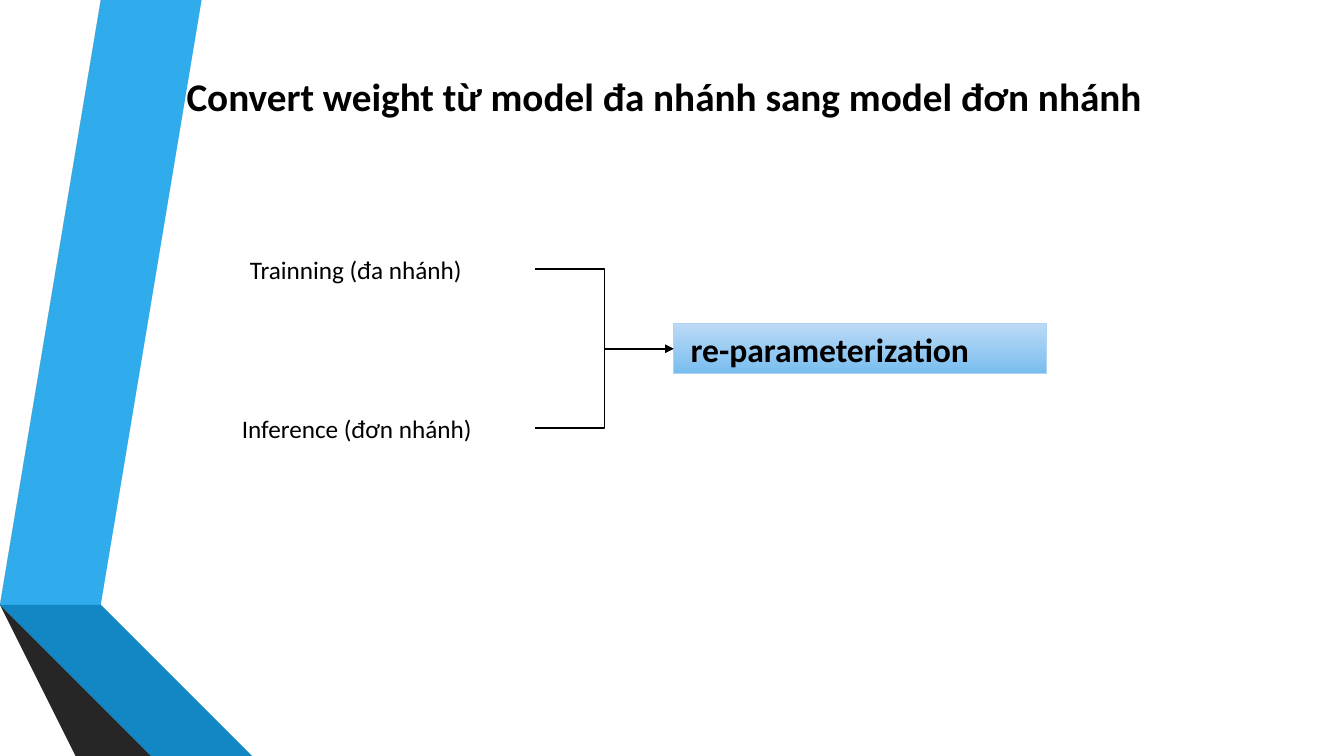
import dataclasses

import pptx
import pptx.dml.color
import pptx.enum.dml
import pptx.enum.shapes
import pptx.enum.text
import pptx.oxml
import pptx.oxml.ns
import pptx.util

Inches = pptx.util.Inches
Pt = pptx.util.Pt
RGB = pptx.dml.color.RGBColor.from_string


@dataclasses.dataclass(frozen=True)
class Theme:
    font: str = "Calibri"
    ink: str = "000000"
    blue: str = "30ACEC"
    blue_fold: str = "1287C3"
    blue_shade: str = "0C5A82"
    gray: str = "595959"
    gray_fold: str = "404040"
    gray_shade: str = "262626"
    result_top: str = "BCDAF6"
    result_bottom: str = "78BDEF"
    result_edge: str = "AED2F4"
    title_size: float = 28
    result_size: float = 24
    label_size: float = 18
    arrow_width: float = 1.25
    edge_width: float = 0.75


@dataclasses.dataclass(frozen=True)
class Box:
    left: float
    top: float
    width: float
    height: float

    def inner(self, dx, dy, width, height):
        return Box(self.left + dx, self.top + dy, width, height)

    def emu(self):
        return [Inches(v) for v in (self.left, self.top, self.width, self.height)]


THEME = Theme()


def write(frame, words, size, bold, anchor):
    frame.word_wrap = True
    frame.vertical_anchor = anchor
    frame.auto_size = pptx.enum.text.MSO_AUTO_SIZE.SHAPE_TO_FIT_TEXT
    paragraph = frame.paragraphs[0]
    paragraph.alignment = pptx.enum.text.PP_ALIGN.LEFT
    run = paragraph.add_run()
    run.text = words
    run.font.name = THEME.font
    run.font.size = Pt(size)
    run.font.bold = bold
    run.font.color.rgb = RGB(THEME.ink)


def draw_ribbons(slide, box):
    foot = box.height
    ribbons = [
        (THEME.blue, [(0.5, 5.78), (0.77, 5.83), (1.73, 0), (1.45, 0)]),
        (THEME.gray, [(1.39, 0), (1.11, 0), (0.16, 5.73), (0.44, 5.77)]),
        (THEME.gray_shade, [(0.16, 5.73), (1.45, foot), (1.51, foot)]),
        (THEME.blue_shade, [(0.5, 5.79), (2.08, foot), (2.14, foot)]),
        (THEME.blue_fold, [(0.5, 5.79), (2.14, foot), (2.83, foot), (0.77, 5.83), (0.5, 5.78)]),
        (THEME.gray_fold, [(2.02, foot), (0.48, 5.83), (0.43, 5.77), (0.16, 5.73), (1.51, foot)]),
    ]
    for color, corners in ribbons:
        builder = slide.shapes.build_freeform(*corners[0], scale=Inches(1))
        builder.add_line_segments(corners[1:], close=True)
        ribbon = builder.convert_to_shape(Inches(box.left), Inches(box.top))
        ribbon.shadow.inherit = False
        ribbon.fill.solid()
        ribbon.fill.fore_color.rgb = RGB(color)
        ribbon.line.fill.background()


def draw_title(slide, box):
    title = slide.shapes.title
    title.left, title.top, title.width, title.height = box.emu()
    write(title.text_frame, "Convert weight từ model đa nhánh sang model đơn nhánh",
          THEME.title_size, True, pptx.enum.text.MSO_ANCHOR.TOP)


def draw_branch(slide, words, box):
    branch = slide.shapes.add_textbox(*box.emu())
    write(branch.text_frame, words, THEME.label_size, False, pptx.enum.text.MSO_ANCHOR.TOP)
    return branch


def draw_result(slide, box):
    result = slide.shapes.add_shape(pptx.enum.shapes.MSO_SHAPE.RECTANGLE, *box.emu())
    result.shadow.inherit = False
    result.fill.gradient()
    result.fill.gradient_angle = 270
    for stop, color in zip(result.fill.gradient_stops, (THEME.result_top, THEME.result_bottom)):
        stop.color.rgb = RGB(color)
    result.line.color.rgb = RGB(THEME.result_edge)
    result.line.width = Pt(THEME.edge_width)
    result.text_frame.margin_left = Inches(0.17)
    write(result.text_frame, "re-parameterization", THEME.result_size, True,
          pptx.enum.text.MSO_ANCHOR.MIDDLE)
    return result


def join(slide, branch, result):
    arrow = slide.shapes.add_connector(
        pptx.enum.shapes.MSO_CONNECTOR.ELBOW,
        branch.left + branch.width, branch.top + branch.height // 2,
        result.left, result.top + result.height // 2)
    arrow.begin_connect(branch, 3)
    arrow.end_connect(result, 1)
    arrow.line.color.rgb = RGB(THEME.ink)
    arrow.line.width = Pt(THEME.arrow_width)
    qn = pptx.oxml.ns.qn
    properties = arrow.line._get_or_add_ln().getparent()
    head = properties.find(qn("a:ln")).makeelement(qn("a:tailEnd"), {"type": "triangle"})
    properties.find(qn("a:ln")).append(head)
    properties.append(properties.makeelement(qn("a:effectLst"), {}))


def draw_merge(slide, box):
    training = draw_branch(slide, "Trainning (đa nhánh)", box.inner(0.08, 0, 2.93, 0.4))
    inference = draw_branch(slide, "Inference (đơn nhánh)", box.inner(0, 1.58, 3.01, 0.4))
    result = draw_result(slide, box.inner(4.38, 0.74, 3.7, 0.5))
    for branch in (training, inference):
        join(slide, branch, result)


def main():
    deck = pptx.Presentation()
    deck.slide_width = Inches(13.33)
    deck.slide_height = Inches(7.5)
    slide = deck.slides.add_slide(deck.slide_layouts[5])
    draw_ribbons(slide, Box(0, 0, 2.83, 7.5))
    draw_title(slide, Box(1.75, 0.67, 11.45, 0.57))
    draw_merge(slide, Box(2.3, 2.47, 8.08, 1.98))
    deck.save("out.pptx")


if __name__ == "__main__":
    main()
